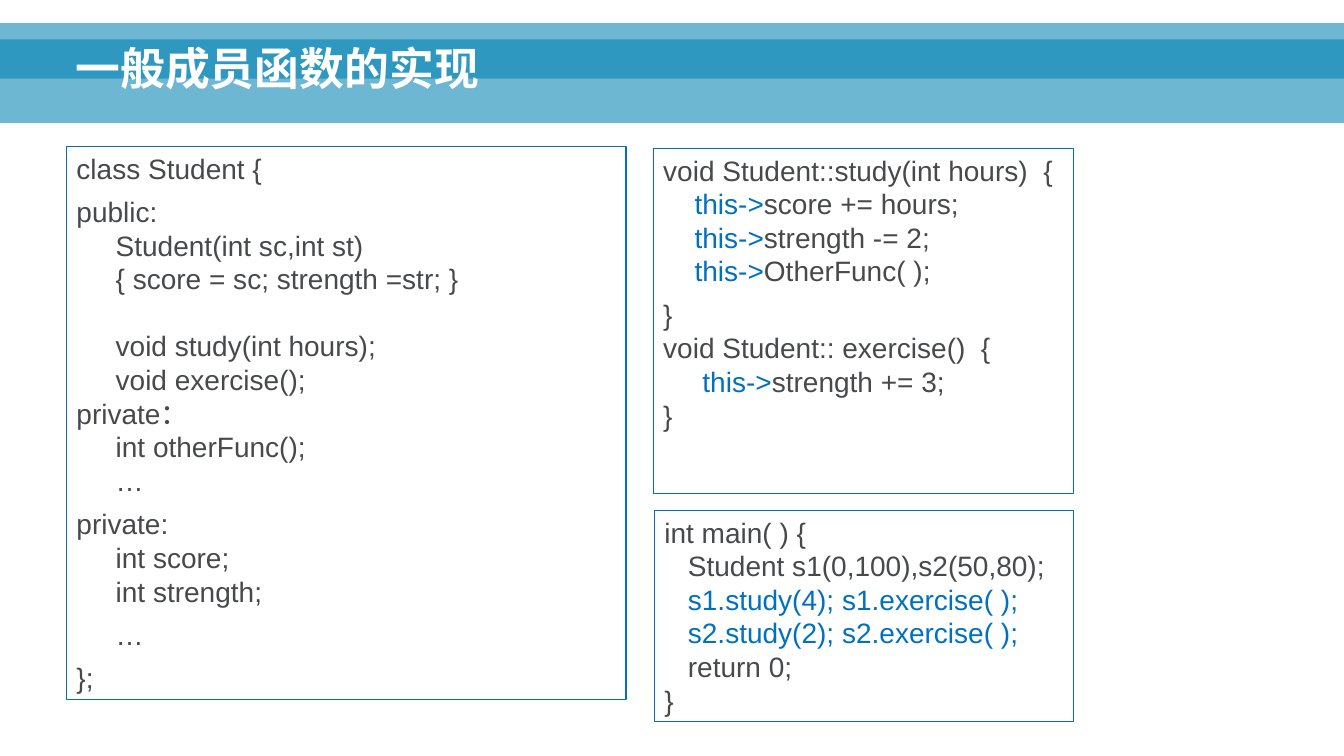
from dataclasses import dataclass

from pptx import Presentation
from pptx.dml.color import RGBColor
from pptx.enum.shapes import MSO_SHAPE as Preset
from pptx.enum.text import MSO_ANCHOR as Anchor
from pptx.oxml.ns import qn
from pptx.oxml.xmlchemy import OxmlElement
from pptx.slide import Slide
from pptx.text.text import Font
from pptx.util import Inches, Length, Pt


@dataclass(frozen=True)
class Theme:
    font: str = "Arial"
    title_size: int = 32
    code_size: int = 20
    line_pitch: int = 24
    group_gap: int = 7
    border_width: float = 0.75
    space_em: float = 0.28
    band_opacity: int = 57
    band: str = "0082B3"
    border: str = "046FB6"
    title: str = "FFFFFF"
    code: str = "47494B"
    accent: str = "0070C0"


@dataclass(frozen=True)
class Area:
    """Percentages of the slide's width and height."""
    left: float
    top: float
    width: float
    height: float


@dataclass(frozen=True)
class Line:
    text: str
    indent: int = 0
    before: int = 0
    accent: str = ""


@dataclass(frozen=True)
class Listing:
    area: Area
    lines: tuple[Line, ...]


THEME = Theme()
SLIDE_WIDTH, SLIDE_HEIGHT = Inches(13.33), Inches(7.5)
GAP, BLANK_LINE = THEME.group_gap, THEME.line_pitch

BANDS = (Area(0, 5.2, 100, 11.07), Area(0, 3.07, 100, 7.33))
TITLE_AREA = Area(4.88, 1.6, 89.87, 11.6)

LISTINGS = (
    Listing(Area(4.95, 19.33, 41.63, 73.2), (
        Line("class Student {"),
        Line("public:", before=GAP),
        Line("Student(int sc,int st)", 5),
        Line("{ score = sc; strength =str; }", 5),
        Line("void study(int hours);", 5, BLANK_LINE),
        Line("void exercise();", 5),
        Line("private："),
        Line("int otherFunc();", 5),
        Line("…", 5),
        Line("private:", before=GAP),
        Line("int score;", 5),
        Line("int strength;", 5),
        Line("…", 5, GAP),
        Line("};", before=GAP),
    )),
    Listing(Area(48.61, 19.6, 31.28, 45.73), (
        Line("void Student::study(int hours)  {"),
        Line("score += hours;", 4, accent="this->"),
        Line("strength -= 2;", 4, accent="this->"),
        Line("OtherFunc( );", 4, accent="this->"),
        Line("}", before=GAP),
        Line("void Student:: exercise()  {"),
        Line("strength += 3;", 5, accent="this->"),
        Line("}"),
    )),
    Listing(Area(48.69, 67.47, 31.21, 28), (
        Line("int main( ) {"),
        Line("Student s1(0,100),s2(50,80);", 3),
        Line("", 3, accent="s1.study(4); s1.exercise( );"),
        Line("", 3, accent="s2.study(2); s2.exercise( );"),
        Line("return 0;", 3),
        Line("}"),
    )),
)


def place(area: Area) -> tuple[Length, Length, Length, Length]:
    return (
        Length(int(SLIDE_WIDTH * area.left / 100)),
        Length(int(SLIDE_HEIGHT * area.top / 100)),
        Length(int(SLIDE_WIDTH * area.width / 100)),
        Length(int(SLIDE_HEIGHT * area.height / 100)),
    )


def style(font: Font, size: int, color: str, bold: bool = False) -> None:
    font.name = THEME.font
    font.size = Pt(size)
    font.bold = bold
    font.color.rgb = RGBColor.from_string(color)


def draw_band(slide: Slide, area: Area) -> None:
    band = slide.shapes.add_shape(Preset.RECTANGLE, *place(area))
    band.shadow.inherit = False
    band.line.fill.background()
    band.fill.solid()
    band.fill.fore_color.rgb = RGBColor.from_string(THEME.band)
    opacity = OxmlElement("a:alpha")
    opacity.set("val", str(THEME.band_opacity * 1000))
    band.fill._xPr.find(qn("a:solidFill"))[0].append(opacity)


def draw_title(slide: Slide, text: str) -> None:
    frame = slide.shapes.add_textbox(*place(TITLE_AREA)).text_frame
    frame.word_wrap = True
    frame.vertical_anchor = Anchor.BOTTOM
    frame.text = text
    heading = frame.paragraphs[0]
    heading.line_spacing = 0.9
    style(heading.runs[0].font, THEME.title_size, THEME.title, bold=True)


def draw_listing(slide: Slide, listing: Listing) -> None:
    panel = slide.shapes.add_textbox(*place(listing.area))
    panel.line.color.rgb = RGBColor.from_string(THEME.border)
    panel.line.width = Pt(THEME.border_width)
    frame = panel.text_frame
    frame.word_wrap = True
    for number, line in enumerate(listing.lines):
        row = frame.add_paragraph() if number else frame.paragraphs[0]
        row.line_spacing = Pt(THEME.line_pitch)
        row.space_before = Pt(line.before)
        margin = Pt(line.indent * THEME.space_em * THEME.code_size)
        row._p.get_or_add_pPr().set("marL", str(int(margin)))
        for text, color in ((line.accent, THEME.accent), (line.text, THEME.code)):
            if text:
                code = row.add_run()
                code.text = text
                style(code.font, THEME.code_size, color)


def main() -> None:
    deck = Presentation()
    deck.slide_width, deck.slide_height = SLIDE_WIDTH, SLIDE_HEIGHT
    slide = deck.slides.add_slide(deck.slide_layouts[6])
    for band in BANDS:
        draw_band(slide, band)
    draw_title(slide, "一般成员函数的实现")
    for listing in LISTINGS:
        draw_listing(slide, listing)
    deck.save("out.pptx")


if __name__ == "__main__":
    main()
